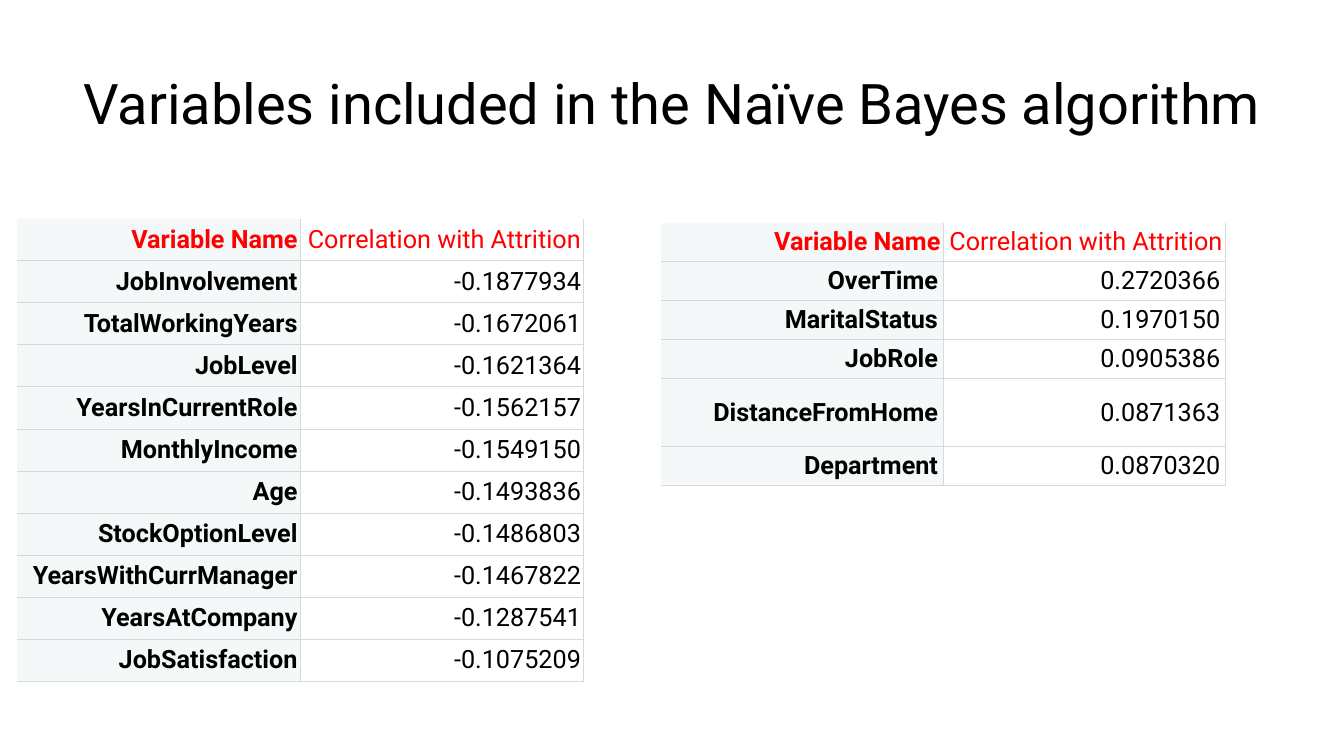
from dataclasses import dataclass

import pptx
import pptx.dml.color
import pptx.enum.text
import pptx.oxml
import pptx.oxml.ns
import pptx.slide
import pptx.table
import pptx.text.text
import pptx.util

Cm = pptx.util.Cm
Pt = pptx.util.Pt
MIDDLE = pptx.enum.text.MSO_ANCHOR.MIDDLE
ALIGN = pptx.enum.text.PP_ALIGN


@dataclass(frozen=True)
class Theme:
    font: str = "Roboto"
    title_size: float = 40
    table_size: float = 18
    ink: str = "000000"
    header_ink: str = "FF0000"
    name_fill: str = "F4F8F9"
    value_fill: str = "FFFFFF"
    rule: str = "D6DADC"
    rule_width: float = 0.75


@dataclass(frozen=True)
class CorrelationTable:
    """Lengths are centimetres; insets are (horizontal, vertical)."""
    left: float
    top: float
    column_width: float
    row_height: float
    body_insets: tuple[float, float]
    correlations: dict[str, str]
    tall_rows: dict[str, float]


THEME = Theme()
HEADER = ("Variable Name", "Correlation with Attrition")
HEADER_INSETS = (0.07, 0.05)

NEGATIVE = CorrelationTable(
    0.43, 5.51, 7.14, 1.06, HEADER_INSETS,
    {
        "JobInvolvement": "-0.1877934",
        "TotalWorkingYears": "-0.1672061",
        "JobLevel": "-0.1621364",
        "YearsInCurrentRole": "-0.1562157",
        "MonthlyIncome": "-0.1549150",
        "Age": "-0.1493836",
        "StockOptionLevel": "-0.1486803",
        "YearsWithCurrManager": "-0.1467822",
        "YearsAtCompany": "-0.1287541",
        "JobSatisfaction": "-0.1075209",
    },
    {},
)
POSITIVE = CorrelationTable(
    16.66, 5.61, 7.11, 0.98, (0.13, 0.1),
    {
        "OverTime": "0.2720366",
        "MaritalStatus": "0.1970150",
        "JobRole": "0.0905386",
        "DistanceFromHome": "0.0871363",
        "Department": "0.0870320",
    },
    {"DistanceFromHome": 1.73},
)


def add_text(paragraph: pptx.text.text._Paragraph, text: str, size: float,
             color: str, bold: bool = False) -> None:
    run = paragraph.add_run()
    run.text = text
    run.font.name = THEME.font
    run.font.size = Pt(size)
    run.font.bold = bold
    run.font.color.rgb = pptx.dml.color.RGBColor.from_string(color)


def set_borders(cell: pptx.table._Cell, drawn_sides: str) -> None:
    """Rule the given sides out of L, R, T, B and clear the others."""
    properties = cell._tc.get_or_add_tcPr()
    namespace = pptx.oxml.ns.nsdecls("a")
    for position, side in enumerate("LRTB"):
        paint = (f'<a:solidFill><a:srgbClr val="{THEME.rule}"/></a:solidFill>'
                 if side in drawn_sides else "<a:noFill/>")
        line = pptx.oxml.parse_xml(
            f'<a:ln{side} {namespace} w="{Pt(THEME.rule_width)}">{paint}</a:ln{side}>')
        properties.insert(position, line)


def fill_cell(cell: pptx.table._Cell, text: str, is_header: bool,
              is_name: bool, insets: tuple[float, float]) -> None:
    horizontal, vertical = insets
    cell.margin_left = cell.margin_right = Cm(horizontal)
    cell.margin_top = cell.margin_bottom = Cm(vertical)
    cell.vertical_anchor = MIDDLE
    cell.fill.solid()
    cell.fill.fore_color.rgb = pptx.dml.color.RGBColor.from_string(
        THEME.name_fill if is_name else THEME.value_fill)
    set_borders(cell, "RB" + ("" if is_name else "L") + ("" if is_header else "T"))
    paragraph = cell.text_frame.paragraphs[0]
    paragraph.alignment = ALIGN.RIGHT
    add_text(paragraph, text, THEME.table_size,
             THEME.header_ink if is_header else THEME.ink, bold=is_name)


def add_correlation_table(slide: pptx.slide.Slide, content: CorrelationTable) -> None:
    rows = [HEADER, *content.correlations.items()]
    heights = [content.tall_rows.get(name, content.row_height) for name, _ in rows]
    table = slide.shapes.add_table(
        len(rows), len(HEADER), Cm(content.left), Cm(content.top),
        Cm(content.column_width * len(HEADER)), Cm(sum(heights))).table
    table.first_row = table.horz_banding = False
    for column in table.columns:
        column.width = Cm(content.column_width)
    for row_index, (row, height) in enumerate(zip(rows, heights)):
        is_header = row_index == 0
        table.rows[row_index].height = Cm(height)
        for column_index, text in enumerate(row):
            fill_cell(table.cell(row_index, column_index), text, is_header,
                      column_index == 0,
                      HEADER_INSETS if is_header else content.body_insets)


def add_title(slide: pptx.slide.Slide, text: str) -> None:
    title = slide.shapes.add_textbox(Cm(0), Cm(0.33), Cm(33.87), Cm(4.7)).text_frame
    title.word_wrap = True
    title.vertical_anchor = MIDDLE
    paragraph = title.paragraphs[0]
    paragraph.alignment = ALIGN.CENTER
    paragraph.line_spacing = 0.9
    add_text(paragraph, text, THEME.title_size, THEME.ink)


def main() -> None:
    presentation = pptx.Presentation()
    presentation.slide_width = Cm(33.87)
    presentation.slide_height = Cm(19.05)
    slide = presentation.slides.add_slide(presentation.slide_layouts[6])

    # Title
    add_title(slide, "Variables included in the Naïve Bayes algorithm")

    # Correlation tables, left and right
    for content in (NEGATIVE, POSITIVE):
        add_correlation_table(slide, content)

    presentation.save("out.pptx")


if __name__ == "__main__":
    main()
